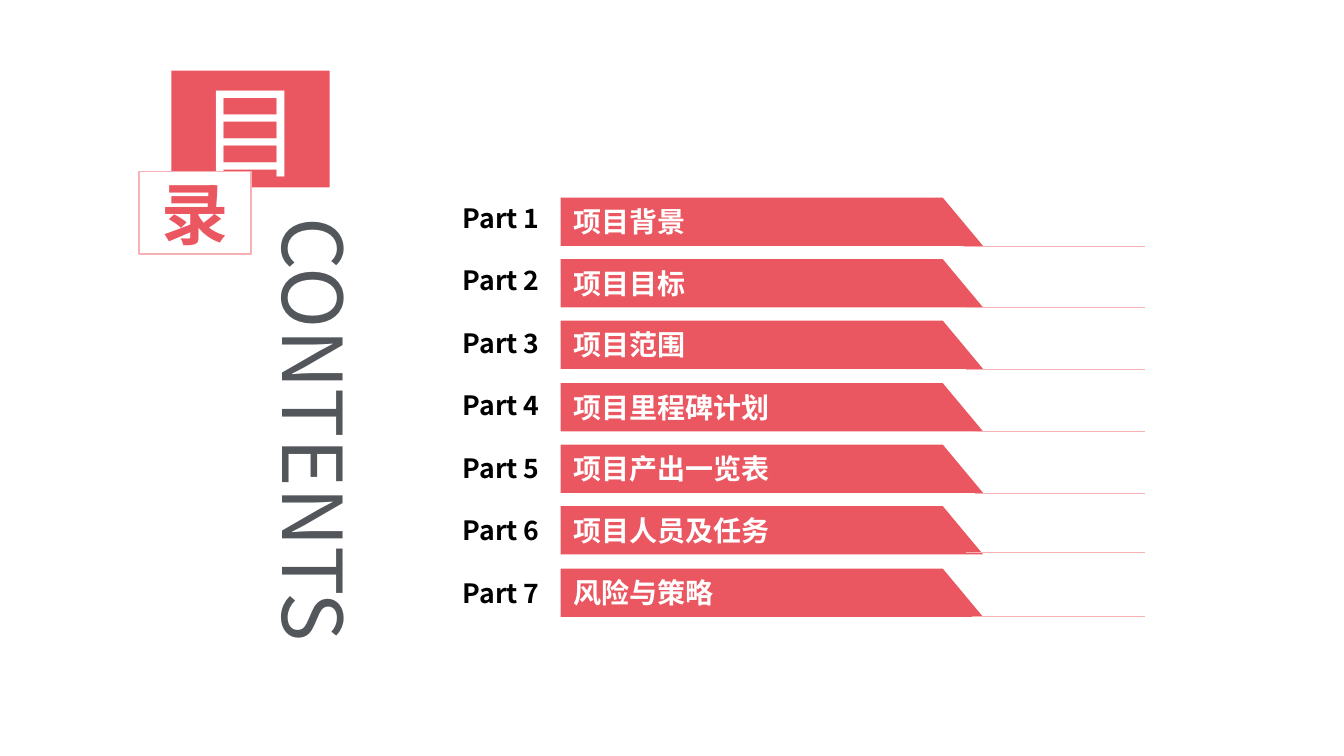
"""Build a contents slide with a vertical title and seven numbered sections."""
from dataclasses import dataclass

from lxml import etree
from pptx import Presentation, util as u
from pptx.dml.color import RGBColor
from pptx.enum import shapes, text
from pptx.oxml import ns

PX = 9144
FONT = "Noto Sans CJK SC"
RED, PINK, WHITE, BLACK, GREY = "EB5760", "F6B1B5", "FFFFFF", "000000", "53575C"
LEFT, CENTER = text.PP_ALIGN.LEFT, text.PP_ALIGN.CENTER
TOP, MIDDLE = text.MSO_ANCHOR.TOP, text.MSO_ANCHOR.MIDDLE


@dataclass(frozen=True)
class Box:
    """A rectangle in px."""
    left: int
    top: int
    width: int
    height: int

    def emu(self) -> list[u.Emu]:
        """Return the four lengths in EMU."""
        return [u.Emu(value * PX) for value in (self.left, self.top, self.width, self.height)]


@dataclass(frozen=True)
class Section:
    """A contents entry, where its rule starts and how far it sits above the bar's foot."""
    name: str
    rule_left: int
    rule_rise: int = 0


@dataclass(frozen=True)
class Tile:
    """A rectangle that holds one character."""
    character: str
    box: Box
    fill: str
    color: str
    size: int
    bold: bool
    outline: str | None = None


SECTIONS = [
    Section("项目背景", 956),
    Section("项目目标", 958),
    Section("项目范围", 958),
    Section("项目里程碑计划", 967),
    Section("项目产出一览表", 967),
    Section("项目人员及任务", 958, 2),
    Section("风险与策略", 964, 1),
]
TILES = [
    Tile("目", Box(170, 70, 157, 116), RED, WHITE, 72, False),
    Tile("录", Box(138, 170, 111, 82), WHITE, RED, 48, True, PINK),
]


def rgb(color: str) -> RGBColor:
    """Turn a hex string into a colour."""
    return RGBColor.from_string(color)


def write(shape, words: str, *, size: int, color: str, bold: bool = False,
          align=LEFT, anchor=MIDDLE, wrap: bool = True) -> None:
    """Put formatted text into a shape."""
    frame = shape.text_frame
    frame.word_wrap = wrap
    frame.vertical_anchor = anchor
    frame.margin_left = frame.margin_right = u.Emu(13 * PX)
    frame.margin_top = frame.margin_bottom = u.Emu(7 * PX)
    paragraph = frame.paragraphs[0]
    paragraph.alignment = align
    run = paragraph.add_run()
    run.text = words
    run.font.size = u.Pt(size)
    run.font.bold = bold
    run.font.name = FONT
    run.font.color.rgb = rgb(color)
    etree.SubElement(run.font._element, ns.qn("a:ea"), typeface=FONT)


def paint(shape, fill: str, outline: str | None = None) -> None:
    """Give a shape a flat fill and an optional outline."""
    shape.shadow.inherit = False
    shape.fill.solid()
    shape.fill.fore_color.rgb = rgb(fill)
    if outline:
        shape.line.color.rgb = rgb(outline)
        shape.line.width = u.Pt(1)
    else:
        shape.line.fill.background()


def add_title(slide) -> None:
    """Turn the title placeholder into the vertical heading."""
    title = slide.shapes.title
    title.left, title.top, title.width, title.height = Box(249, 209, 126, 459).emu()
    write(title, "CONTENTS", size=59, color=GREY, anchor=TOP, wrap=False)
    title.text_frame.auto_size = text.MSO_AUTO_SIZE.SHAPE_TO_FIT_TEXT
    title.text_frame._txBody.bodyPr.set("vert", "eaVert")


def add_tile(slide, tile: Tile) -> None:
    """Draw a character tile."""
    shape = slide.shapes.add_shape(shapes.MSO_SHAPE.RECTANGLE, *tile.box.emu())
    paint(shape, tile.fill, tile.outline)
    write(shape, tile.character, size=tile.size, color=tile.color, bold=tile.bold, align=CENTER)


def add_rule(slide, left: int, right: int, top: int) -> None:
    """Draw a thin horizontal rule."""
    rule = slide.shapes.add_connector(
        shapes.MSO_CONNECTOR.STRAIGHT, *(u.Emu(value * PX) for value in (left, top, right, top)))
    rule.line.color.rgb = rgb(PINK)
    rule.line.width = u.Pt(0.5)
    etree.SubElement(rule._element.spPr, ns.qn("a:effectLst"))


def add_section(slide, index: int, section: Section) -> None:
    """Draw the label, bar and rule of one section."""
    label = slide.shapes.add_textbox(*Box(446, 184 + 62 * index, 110, 64).emu())
    write(label, f"Part {index + 1}", size=19, color=BLACK, bold=True)
    top = 196 + index * 184 // 3
    bottom = top + 48
    outline = slide.shapes.build_freeform(556, top, scale=PX)
    outline.add_line_segments([(935, top), (975, bottom), (556, bottom)], close=True)
    bar = outline.convert_to_shape()
    paint(bar, RED)
    write(bar, section.name, size=20, color=WHITE, bold=True)
    add_rule(slide, section.rule_left, 1136, bottom - section.rule_rise)


def main() -> None:
    """Build and save the presentation."""
    presentation = Presentation()
    presentation.slide_width = u.Emu(1333 * PX)
    presentation.slide_height = u.Emu(750 * PX)
    slide = presentation.slides.add_slide(presentation.slide_layouts[5])
    add_title(slide)
    for tile in TILES:
        add_tile(slide, tile)
    for index, section in enumerate(SECTIONS):
        add_section(slide, index, section)
    presentation.save("out.pptx")


if __name__ == "__main__":
    main()
